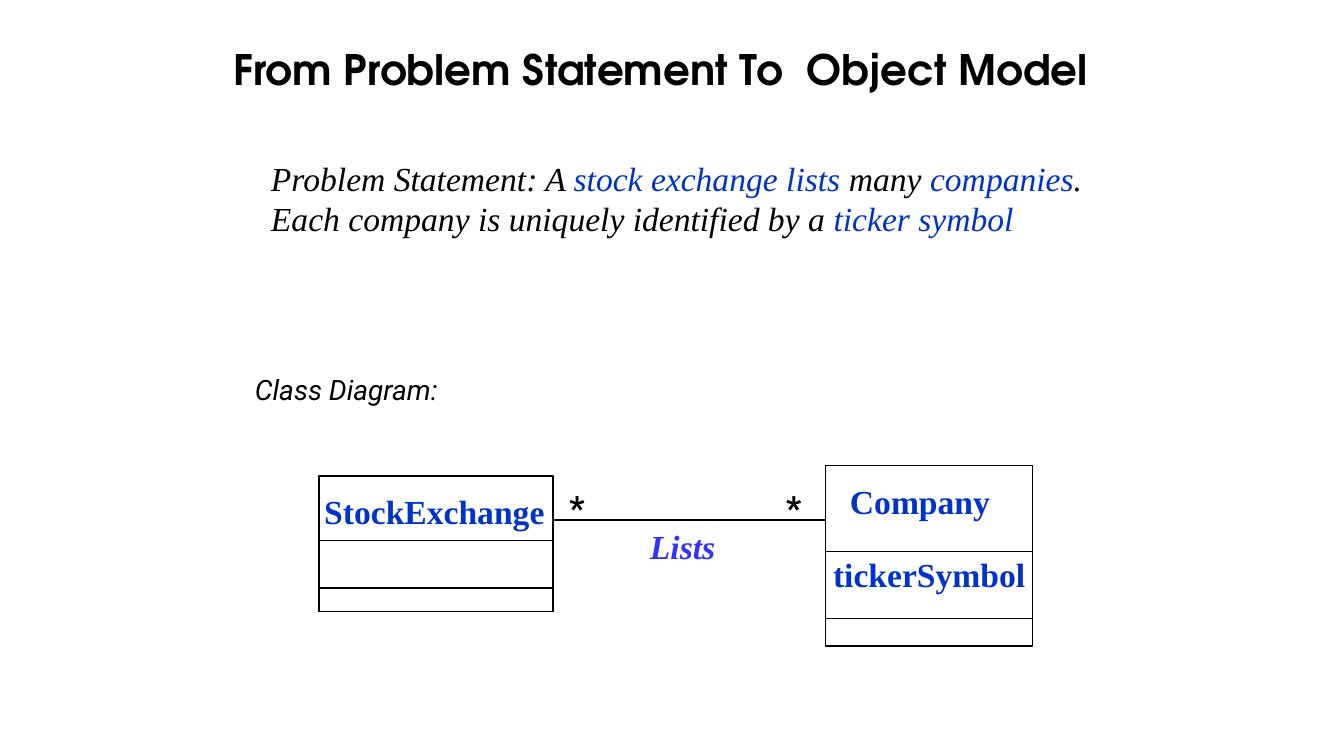
from lxml import etree
from pptx import Presentation
from pptx.dml.color import RGBColor
from pptx.enum.shapes import MSO_CONNECTOR, MSO_SHAPE
from pptx.enum.text import MSO_ANCHOR, MSO_AUTO_SIZE, PP_ALIGN
from pptx.oxml.ns import qn
from pptx.util import Pt

RECTANGLE = MSO_SHAPE.RECTANGLE
STRAIGHT = MSO_CONNECTOR.STRAIGHT
MIDDLE = MSO_ANCHOR.MIDDLE
GROW = MSO_AUTO_SIZE.SHAPE_TO_FIT_TEXT
CENTER = PP_ALIGN.CENTER

BLACK = RGBColor(0x00, 0x00, 0x00)
BLUE = RGBColor(0x00, 0x33, 0xCC)
VIOLET = RGBColor(0x33, 0x33, 0xFF)
SERIF = "Times New Roman"
SANS = "Roboto"


def add_text(s, box, runs, font, size, bold=False, italic=False, wrap=False):
    """Add a one-paragraph text box; runs are (text, colour) pairs."""
    tf = s.shapes.add_textbox(*[Pt(v) for v in box]).text_frame
    tf.word_wrap = wrap
    tf.auto_size = GROW
    p = tf.paragraphs[0]
    p.font.name = font
    p.font.size = Pt(size)
    p.font.bold = bold
    p.font.italic = italic
    for text, color in runs:
        r = p.add_run()
        r.text = text
        r.font.color.rgb = color


def add_line(s, x1, x2, y):
    line = s.shapes.add_connector(STRAIGHT, Pt(x1), Pt(y), Pt(x2), Pt(y))
    line.line.color.rgb = BLACK
    line.line.width = Pt(1)
    etree.SubElement(line._element.spPr, qn("a:effectLst"))


prs = Presentation()
prs.slide_width = Pt(960)
prs.slide_height = Pt(540)
s = prs.slides.add_slide(prs.slide_layouts[5])

# Title
title = s.shapes.title
title.left, title.top, title.width, title.height = Pt(44), Pt(17.3), Pt(856), Pt(67.7)
tf = title.text_frame
tf.text = "From Problem Statement To  Object Model"
tf.vertical_anchor = MIDDLE
p = tf.paragraphs[0]
p.alignment = CENTER
p.line_spacing = 0.9
p.font.name = "TeX Gyre Adventor"
p.font.size = Pt(30)
p.font.bold = True
p.font.color.rgb = BLACK

# Problem statement
statement = [
    ("Problem Statement: A ", BLACK),
    ("stock exchange lists", BLUE),
    (" many ", BLACK),
    ("companies", BLUE),
    (". Each company is uniquely identified by a ", BLACK),
    ("ticker symbol", BLUE),
]
add_text(s, (186.5, 109, 632, 65.5), statement, SERIF, 24, italic=True, wrap=True)
add_text(s, (175, 262.8, 151, 31), [("Class Diagram:", BLACK)], SANS, 20, italic=True)

# Classes: left, top, width, height and the heights of the dividers
classes = [
    (228, 340, 167, 97, (386, 420)),
    (589.7, 332.6, 148, 129, (394, 442)),
]
for left, top, width, height, dividers in classes:
    box = s.shapes.add_shape(RECTANGLE, Pt(left), Pt(top), Pt(width), Pt(height))
    box.shadow.inherit = False
    box.fill.background()
    box.line.color.rgb = BLACK
    box.line.width = Pt(1)
    for y in dividers:
        add_line(s, left, left + width, y)

# Association between the classes
add_line(s, 395, 589.7, 371.5)

# Names: left, top, width, text, colour, font, italic
labels = [
    (224.5, 347, 173, "StockExchange", BLUE, SERIF, False),
    (600, 340, 114.5, "Company", BLUE, SERIF, False),
    (588, 392.4, 152, "tickerSymbol", BLUE, SERIF, False),
    (457.2, 372.2, 67, "Lists", VIOLET, SERIF, True),
    (399.6, 344.2, 24, "*", BLACK, SANS, False),
    (554.4, 344.2, 24, "*", BLACK, SANS, False),
]
for left, top, width, text, color, font, italic in labels:
    add_text(s, (left, top, width, 36), [(text, color)], font, 24, bold=True, italic=italic)

prs.save("out.pptx")
